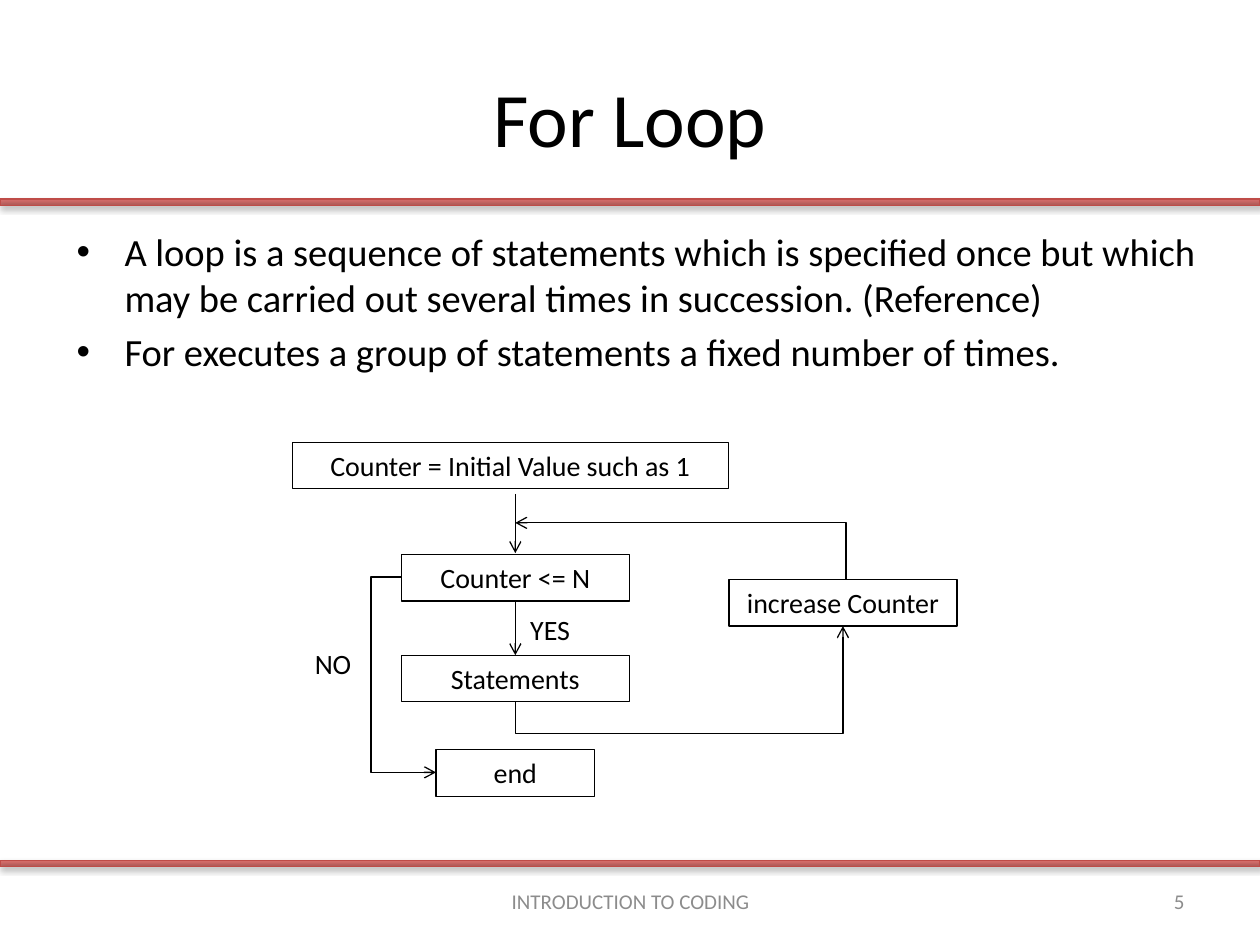
"""Build the For Loop slide: two bullets and a loop flowchart between red rules."""
import pptx
import pptx.util
import pptx.dml.color
import pptx.enum.shapes
import pptx.enum.text
import pptx.oxml
import pptx.oxml.ns

Inches, Pt = pptx.util.Inches, pptx.util.Pt
ALIGN = pptx.enum.text.PP_ALIGN
ANCHOR = pptx.enum.text.MSO_ANCHOR
CONNECTOR = pptx.enum.shapes.MSO_CONNECTOR

THEME = {
    "font": "Calibri", "ink": "000000", "muted": "8C8C8C", "rule_line": "BF4C48",
    "rule_stops": [(0, "9C2F2D"), (80, "CB3E3A"), (100, "CE3B37")],
    "rule_alpha": 73, "line": 0.75,
    "title": 44, "body": 22, "flow": 16, "footer": 12,
}

RULE_TOPS = [1.58, 6.83]
TITLE = "For Loop"
BULLETS = [
    "A loop is a sequence of statements which is specified once but which "
    "may be carried out several times in succession. (Reference)",
    "For executes a group of statements a fixed number of times.",
]
FOOTERS = [
    ("INTRODUCTION TO CODING", (3.42, 6.95, 3.17, 0.4), ALIGN.CENTER),
    ("5", (7.17, 6.95, 2.33, 0.4), ALIGN.RIGHT),
]

AXIS, LOOP_AXIS, STEP_HEIGHT = 4.09, 6.69, 0.37
STEPS = [
    ("Counter = Initial Value such as 1", 4.05, 3.51, 3.46),
    ("Counter <= N", AXIS, 4.4, 1.81),
    ("Statements", AXIS, 5.2, 1.81),
    ("end", AXIS, 5.95, 1.26),
    ("increase Counter", LOOP_AXIS, 4.6, 1.81),
]
BRANCHES = [("YES", 4.11, 4.81), ("NO", 2.4, 5.08)]
DOWN_ARROWS = [((AXIS, 3.92), (AXIS, 4.39)), ((AXIS, 4.77), (AXIS, 5.2))]
BENT_ARROWS = [
    ((5.69, 6.57), (5.09, 3.97), -0.42, 90),
    ((LOOP_AXIS, 4.6), (AXIS, 4.15), -0.01, 0),
    ((3.19, 4.58), (3.46, 6.13), -0.91, 0),
]


def rgb(code):
    return pptx.dml.color.RGBColor.from_string(code)


def xml(tag, body="", attributes=""):
    namespace = pptx.oxml.ns.nsdecls("a")
    return pptx.oxml.parse_xml(f"<a:{tag} {namespace} {attributes}>{body}</a:{tag}>")


def write(frame, texts, size, color="ink", align=ALIGN.LEFT, anchor=ANCHOR.TOP):
    frame.word_wrap = True
    frame.vertical_anchor = anchor
    for index, text in enumerate(texts):
        paragraph = frame.paragraphs[0] if index == 0 else frame.add_paragraph()
        paragraph.alignment = align
        run = paragraph.add_run()
        run.text = text
        run.font.name = THEME["font"]
        run.font.size = Pt(THEME[size])
        run.font.color.rgb = rgb(THEME[color])
    return frame


def add_text(slide, box, texts, size, **style):
    area = slide.shapes.add_textbox(*map(Inches, box))
    return write(area.text_frame, texts, size, **style)


def add_rectangle(slide, box, color):
    rectangle = slide.shapes.add_shape(
        pptx.enum.shapes.MSO_SHAPE.RECTANGLE, *map(Inches, box))
    rectangle.shadow.inherit = False
    rectangle.fill.background()
    rectangle.line.color.rgb = rgb(THEME[color])
    rectangle.line.width = Pt(THEME["line"])
    return rectangle


def add_rule(slide, top):
    properties = add_rectangle(slide, (0, top, 10, 0.05), "rule_line")._element.spPr
    stops = "".join(
        f'<a:gs pos="{position * 1000}"><a:srgbClr val="{color}">'
        f'<a:alpha val="{THEME["rule_alpha"] * 1000}"/></a:srgbClr></a:gs>'
        for position, color in THEME["rule_stops"])
    gradient = xml("gradFill", f'<a:gsLst>{stops}</a:gsLst><a:lin ang="16200000" scaled="0"/>')
    no_fill = properties.find(pptx.oxml.ns.qn("a:noFill"))
    properties.replace(no_fill, gradient)
    shadow = xml("outerShdw", '<a:srgbClr val="000000"><a:alpha val="35000"/></a:srgbClr>',
                 f'blurRad="{Pt(3.1)}" dist="{Pt(1.8)}" dir="5400000" rotWithShape="0"')
    properties.find(pptx.oxml.ns.qn("a:effectLst")).append(shadow)


def add_arrow(slide, kind, start, end, bend=None, turn=0):
    arrow = slide.shapes.add_connector(kind, *map(Inches, start + end))
    arrow.line.color.rgb = rgb(THEME["ink"])
    arrow.line.width = Pt(THEME["line"])
    arrow.line._get_or_add_ln().append(xml("tailEnd", attributes='type="arrow"'))
    properties = arrow._element.spPr
    properties.append(xml("effectLst"))
    if turn:
        properties.find(pptx.oxml.ns.qn("a:xfrm")).set("rot", str(turn * 60000))
    if bend is not None:
        guides = properties.find(".//" + pptx.oxml.ns.qn("a:avLst"))
        guides.append(xml("gd", attributes=f'name="adj1" fmla="val {round(bend * 100000)}"'))


def add_bullets(slide):
    frame = add_text(slide, (0.51, 1.76, 9.21, 1.28), BULLETS, "body")
    for paragraph in frame.paragraphs:
        paragraph.space_before = Pt(THEME["body"] * 0.2)
        properties = paragraph._p.get_or_add_pPr()
        properties.set("marL", str(Inches(0.38)))
        properties.set("indent", str(-Inches(0.38)))
        properties.append(xml("buFont", attributes='typeface="Arial"'))
        properties.append(xml("buChar", attributes='char="•"'))


def add_flowchart(slide):
    for text, center, top, width in STEPS:
        step = add_rectangle(slide, (center - width / 2, top, width, STEP_HEIGHT), "ink")
        write(step.text_frame, [text], "flow", align=ALIGN.CENTER)
    for text, left, top in BRANCHES:
        add_text(slide, (left, top, 1.26, STEP_HEIGHT), [text], "flow")
    for start, end in DOWN_ARROWS:
        add_arrow(slide, CONNECTOR.STRAIGHT, start, end)
    for start, end, bend, turn in BENT_ARROWS:
        add_arrow(slide, CONNECTOR.ELBOW, start, end, bend, turn)


def main():
    deck = pptx.Presentation()
    deck.slide_width, deck.slide_height = Inches(10), Inches(7.5)
    slide = deck.slides.add_slide(deck.slide_layouts[6])
    for top in RULE_TOPS:
        add_rule(slide, top)
    add_text(slide, (0.5, 0.3, 9, 1.25), [TITLE], "title",
             align=ALIGN.CENTER, anchor=ANCHOR.MIDDLE)
    add_bullets(slide)
    add_flowchart(slide)
    for text, box, align in FOOTERS:
        add_text(slide, box, [text], "footer", color="muted",
                 align=align, anchor=ANCHOR.MIDDLE)
    deck.save("out.pptx")


if __name__ == "__main__":
    main()
